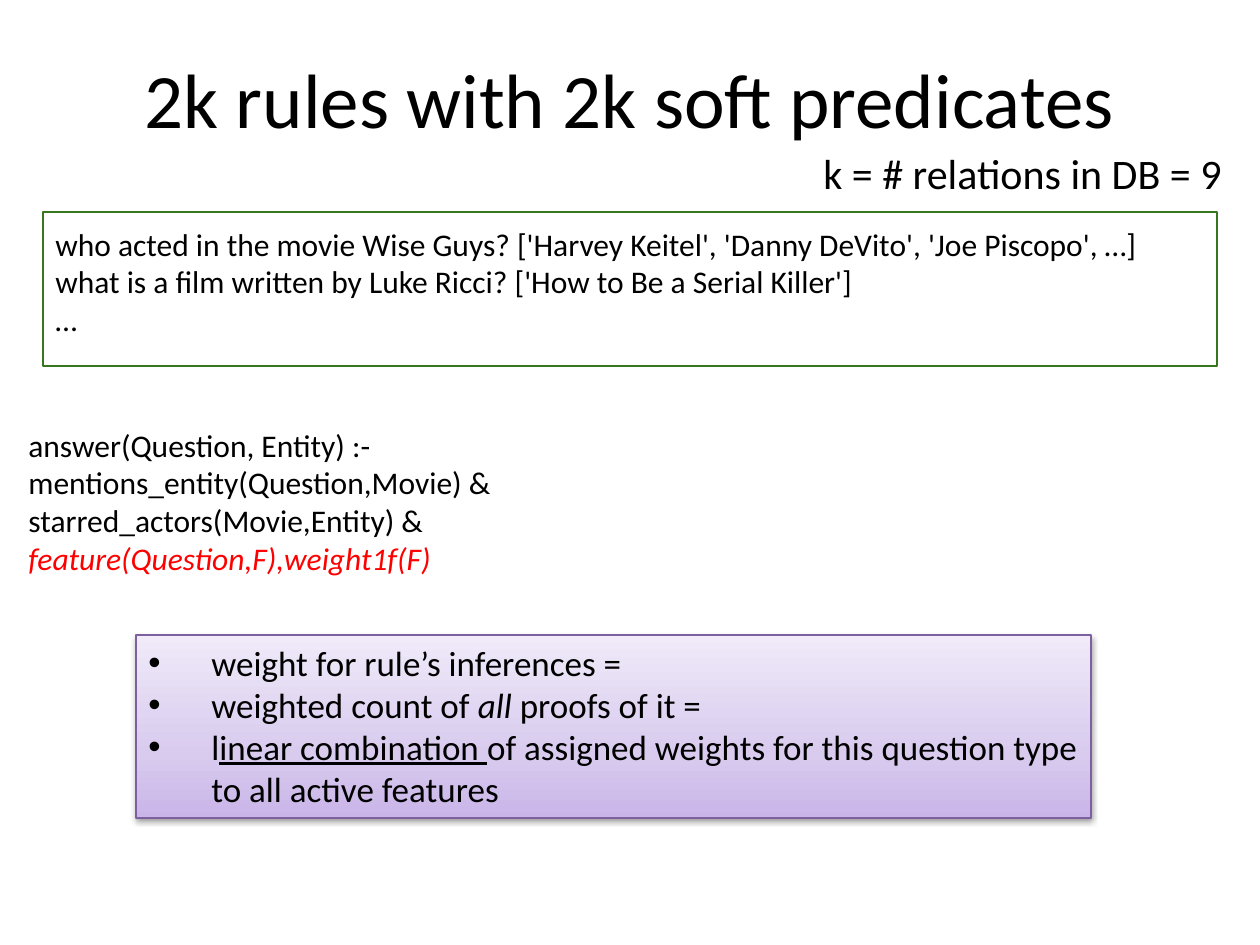
"""Build the slide on 2k rules with 2k soft predicates."""
from copy import deepcopy

from lxml import etree
from pptx import Presentation
from pptx import util as u
from pptx.dml.color import RGBColor
from pptx.enum import shapes, text
from pptx.oxml.ns import qn

PX = 914400 / 126
FONT = "Calibri"
BLACK = RGBColor(0x00, 0x00, 0x00)
RED = RGBColor(0xFF, 0x00, 0x00)
GREEN = RGBColor(0x38, 0x76, 0x1D)
PURPLE = RGBColor(0x7D, 0x60, 0xA0)
LAVENDER_STOPS = [
    (0, RGBColor(0xC9, 0xB5, 0xE8)),
    (0.35, RGBColor(0xD8, 0xCB, 0xEE)),
    (1, RGBColor(0xF0, 0xEA, 0xF9)),
]
ITALIC = {"italic": True}
UNDERLINE = {"underline": True}

EXAMPLES = [
    [("who acted in the movie Wise Guys? ['Harvey Keitel', 'Danny DeVito', 'Joe Piscopo', …]", {})],
    [("what is a film written by Luke Ricci? ['How to Be a Serial Killer']", {})],
    [("…", {})],
]
RULE = [[
    ("answer(Question, Entity) :- mentions_entity(Question,Movie) & starred_actors(Movie,Entity) & ", {}),
    ("feature(Question,F),weight1f(F)", {"color": RED, **ITALIC}),
]]
WEIGHTS = [
    [("weight for rule’s inferences =", {})],
    [("weighted count of ", {}), ("all", ITALIC), (" proofs of it =", {})],
    [
        ("l", {}),
        ("inear combination ", UNDERLINE),
        ("of assigned weights for this question type to all active features", {}),
    ],
]


def px(*lengths):
    """Turn pixel lengths into EMU."""
    return [round(length * PX) for length in lengths]


def add_run(paragraph, words, size, color=BLACK, italic=None, underline=None):
    """Append one formatted run to a paragraph."""
    run = paragraph.add_run()
    run.text = words
    run.font.name = FONT
    run.font.size = u.Pt(size)
    run.font.color.rgb = color
    run.font.italic = italic
    run.font.underline = underline


def set_indent(paragraph, hang, bullet):
    """Give a paragraph a hanging indent and an optional bullet."""
    properties = paragraph._p.get_or_add_pPr()
    properties.set("marL", str(hang))
    properties.set("indent", str(-hang))
    if bullet:
        etree.SubElement(properties, qn("a:buFont"), typeface="Arial")
        etree.SubElement(properties, qn("a:buChar"), char=bullet)


def write(shape, paragraphs, size, inset=None, wrap=True, align=text.PP_ALIGN.LEFT,
          hang=0, bullet=None):
    """Fill a shape with top-anchored paragraphs of runs."""
    frame = shape.text_frame
    frame.word_wrap = wrap
    frame.auto_size = text.MSO_AUTO_SIZE.NONE
    frame.vertical_anchor = text.MSO_ANCHOR.TOP
    if inset is not None:
        frame.margin_left = frame.margin_right = inset
        frame.margin_top = frame.margin_bottom = inset
    for index, runs in enumerate(paragraphs):
        paragraph = frame.add_paragraph() if index else frame.paragraphs[0]
        paragraph.alignment = align
        if hang:
            set_indent(paragraph, hang, bullet)
        for words, style in runs:
            add_run(paragraph, words, size, **style)


def place_title(slide, box, words):
    """Move and format the title placeholder."""
    title = slide.shapes.title
    title.left, title.top, title.width, title.height = px(*box)
    write(title, [[(words, {})]], 44, inset=u.Inches(0.1), align=text.PP_ALIGN.CENTER)


def add_text(slide, box, paragraphs, size, **layout):
    """Add a plain text box."""
    write(slide.shapes.add_textbox(*px(*box)), paragraphs, size, **layout)


def add_panel(slide, box, outline, paragraphs, size, **layout):
    """Add an outlined rectangle holding text."""
    panel = slide.shapes.add_shape(shapes.MSO_SHAPE.RECTANGLE, *px(*box))
    panel.shadow.inherit = False
    panel.fill.background()
    panel.line.color.rgb = outline
    panel.line.width = u.Pt(0.75)
    write(panel, paragraphs, size, **layout)
    return panel


def shade(panel, colour_stops):
    """Give a panel an upward gradient and a soft drop shadow."""
    panel.fill.gradient()
    panel.fill.gradient_angle = 90
    properties = panel._element.spPr
    stop_list = properties.find(".//" + qn("a:gsLst"))
    stop_list.insert(1, deepcopy(stop_list[0]))
    for stop, (position, colour) in zip(panel.fill.gradient_stops, colour_stops):
        stop.position = position
        stop.color.rgb = colour
    shadow = etree.SubElement(
        properties.find(qn("a:effectLst")), qn("a:outerShdw"),
        blurRad="40000", dist="20000", dir="5400000", rotWithShape="0")
    black = etree.SubElement(shadow, qn("a:srgbClr"), val="000000")
    etree.SubElement(black, qn("a:alpha"), val="38000")


def main():
    """Build and save the slide."""
    deck = Presentation()
    deck.slide_width, deck.slide_height = px(1260, 945)
    slide = deck.slides.add_slide(deck.slide_layouts[5])
    inset = u.Inches(0.1)

    place_title(slide, (43, 39, 1174, 106), "2k rules with 2k soft predicates")
    add_panel(slide, (43, 212, 1174, 154), GREEN, EXAMPLES, 18,
              inset=inset, hang=u.Inches(0.38))
    add_text(slide, (16, 413, 542, 229), RULE, 18, inset=inset)
    weights = add_panel(slide, (136, 635, 955, 183), PURPLE, WEIGHTS, 20,
                        hang=u.Inches(0.5), bullet="•")
    shade(weights, LAVENDER_STOPS)
    add_text(slide, (811, 141, 428, 63), [[("k = # relations in DB = 9", {})]], 24, wrap=False)

    deck.save("out.pptx")


if __name__ == "__main__":
    main()
